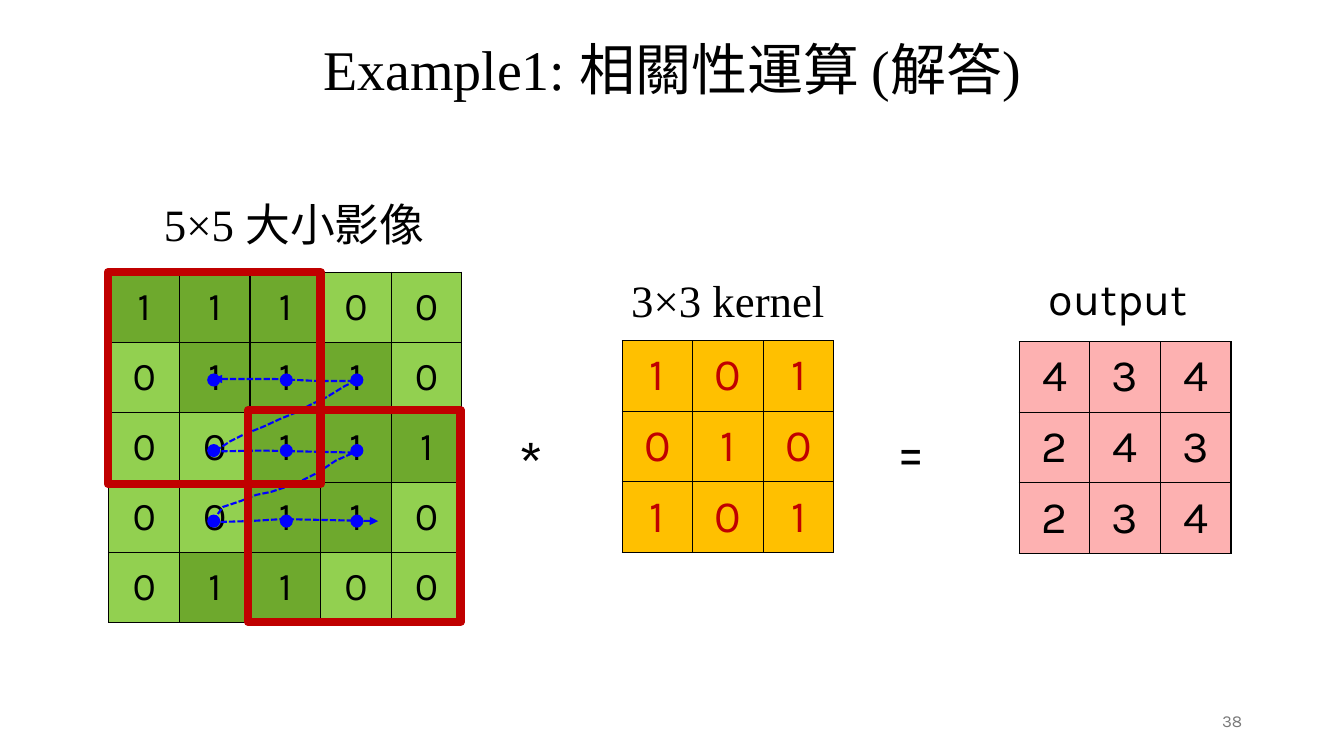
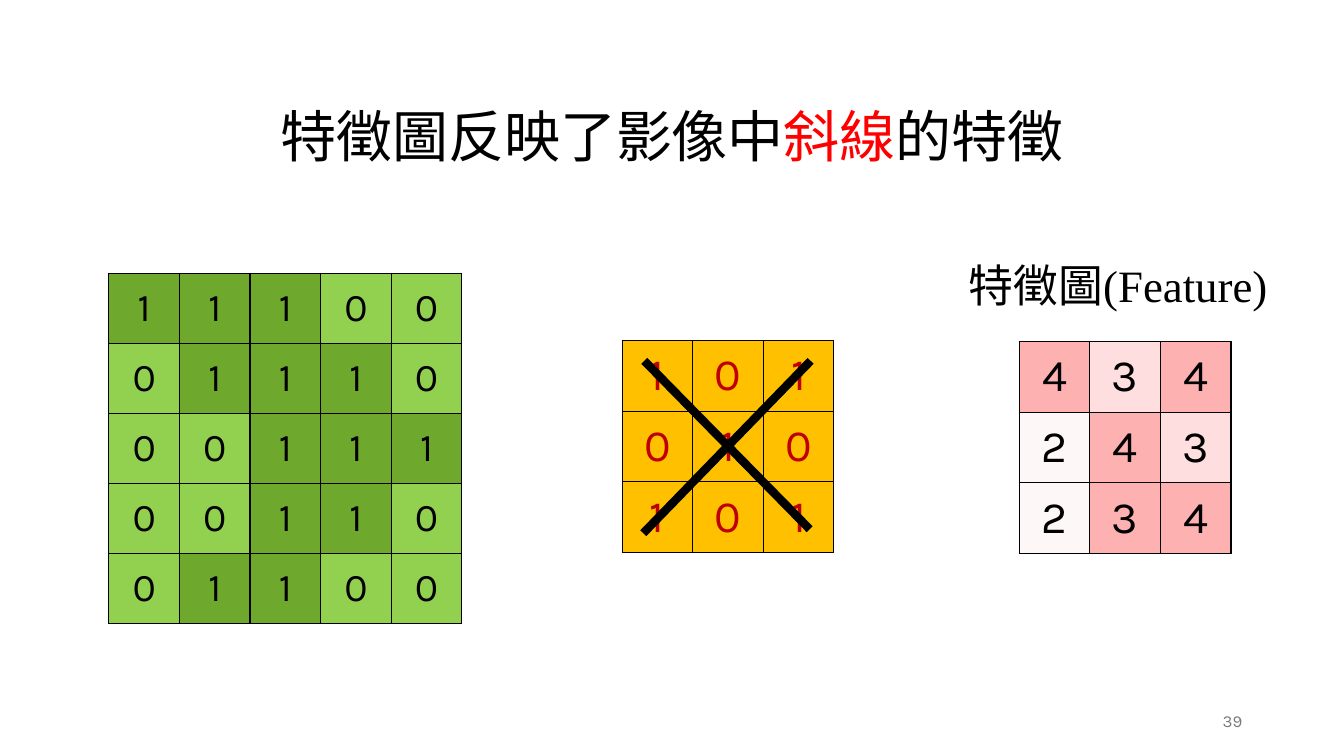
import pptx
import pptx.dml.color
import pptx.enum.dml
import pptx.enum.shapes
import pptx.enum.text
import pptx.oxml
import pptx.oxml.ns
import pptx.util
from lxml import etree

Inches = pptx.util.Inches
Pt = pptx.util.Pt
RGB = pptx.dml.color.RGBColor.from_string
ALIGN = pptx.enum.text.PP_ALIGN
ANCHOR = pptx.enum.text.MSO_ANCHOR
SHAPE = pptx.enum.shapes.MSO_SHAPE
qn = pptx.oxml.ns.qn

COLORS = {
    "black": "000000", "gray": "797979", "red": "FF0000", "dark red": "C00000",
    "blue": "0000FF", "orange": "FFC000", "green": "6EA92D", "light green": "92D050",
    "pink": "FDB1B1", "light pink": "FEDEDE", "pale pink": "FEF0F0",
}
SERIF, SANS = "Times New Roman", "Karla"
CELL = 0.7

IMAGE = ["11100", "01110", "00111", "00110", "01100"]
KERNEL = ["101", "010", "101"]
OUTPUT = ["434", "243", "234"]
IMAGE_FILLS = [["green" if value == "1" else "light green" for value in row] for row in IMAGE]
KERNEL_FILLS = [["orange"] * 3] * 3
OUTPUT_FILLS = [["pink"] * 3] * 3
FEATURE_FILLS = [
    ["pink", "light pink", "pink"],
    ["pale pink", "pink", "light pink"],
    ["pale pink", "pink", "pink"],
]

# Text: (left, top, width, height), wording, size, font, alignment, wraps
SLIDES = [
    {
        "number": "38", "title_top": 0.29, "image_top": 2.7,
        "title": [("Example1: 相關性運算 (解答)", "black")],
        "output_fills": OUTPUT_FILLS,
        "labels": [
            ((1.19, 1.9, 3.46, 0.64), "5×5 大小影像", 32, SERIF, ALIGN.CENTER, True),
            ((5.49, 2.66, 3.46, 0.64), "3×3 kernel", 32, SERIF, ALIGN.CENTER, True),
            ((9.36, 2.64, 3.46, 0.64), "output", 32, SANS, ALIGN.CENTER, True),
            ((5.04, 4.16, 0.48, 0.84), "*", 44, SANS, ALIGN.LEFT, False),
            ((8.79, 4.07, 0.5, 0.77), "=", 40, SANS, ALIGN.LEFT, False),
        ],
    },
    {
        "number": "39", "title_top": 0.96, "image_top": 2.71,
        "title": [("特徵圖反映了影像中", "black"), ("斜線", "red"), ("的特徵", "black")],
        "output_fills": FEATURE_FILLS,
        "labels": [
            ((9.36, 2.51, 3.46, 0.64), "特徵圖(Feature)", 32, SERIF, ALIGN.CENTER, True),
        ],
    },
]


def write_line(text_frame, runs, size, font, alignment):
    """Fill the first paragraph with (text, colour name) runs."""
    paragraph = text_frame.paragraphs[0]
    paragraph.alignment = alignment
    for text, color in runs:
        run = paragraph.add_run()
        run.text = text
        run.font.size = Pt(size)
        run.font.name = font
        run.font.color.rgb = RGB(COLORS[color])


def add_grid(slide, left, top, height, values, fills, size, text_color):
    """Add a bordered square-cell table of single digits."""
    count = len(values)
    table = slide.shapes.add_table(
        count, count, Inches(left), Inches(top), Inches(CELL * count), Inches(height)).table
    table.first_row = False
    table.horz_banding = False
    for row in range(count):
        for column in range(count):
            cell = table.cell(row, column)
            cell.vertical_anchor = ANCHOR.MIDDLE
            write_line(cell.text_frame, [(values[row][column], text_color)], size, SANS, ALIGN.CENTER)
            fill = fills[row][column]
            cell.fill.solid()
            cell.fill.fore_color.rgb = RGB(COLORS[fill])
            properties = cell._tc.get_or_add_tcPr()
            if fill == "pale pink":
                color = properties.find(".//" + qn("a:srgbClr"))
                etree.SubElement(color, qn("a:alpha"), val="50000")
            for index, side in enumerate(("lnL", "lnR", "lnT", "lnB")):
                border = etree.Element(qn("a:" + side), w=str(Pt(1)))
                border_fill = etree.SubElement(border, qn("a:solidFill"))
                etree.SubElement(border_fill, qn("a:srgbClr"), val=COLORS["black"])
                properties.insert(index, border)


presentation = pptx.Presentation()
presentation.slide_width = Inches(13.33)
presentation.slide_height = Inches(7.5)
title_only = presentation.slide_layouts[5]

for content in SLIDES:
    slide = presentation.slides.add_slide(title_only)
    title = slide.shapes.title
    title.left, title.top = Inches(0), Inches(content["title_top"])
    title.width, title.height = Inches(13.33), Inches(0.77)
    title.text_frame.auto_size = pptx.enum.text.MSO_AUTO_SIZE.NONE
    title.text_frame.vertical_anchor = ANCHOR.TOP
    write_line(title.text_frame, content["title"], 40, SERIF, ALIGN.CENTER)

    number = slide.shapes.add_textbox(Inches(9.42), Inches(6.95), Inches(3), Inches(0.4))
    number.text_frame.vertical_anchor = ANCHOR.MIDDLE
    number.text_frame.word_wrap = True
    write_line(number.text_frame, [(content["number"], "gray")], 12, SANS, ALIGN.RIGHT)

    add_grid(slide, 1.08, content["image_top"], 3.48, IMAGE, IMAGE_FILLS, 28, "black")
    add_grid(slide, 6.17, 3.38, 2.1, KERNEL, KERNEL_FILLS, 32, "dark red")
    add_grid(slide, 10.11, 3.39, 2.1, OUTPUT, content["output_fills"], 32, "black")

    for place, text, size, font, alignment, wraps in content["labels"]:
        label = slide.shapes.add_textbox(*[Inches(length) for length in place])
        label.text_frame.word_wrap = wraps
        write_line(label.text_frame, [(text, "black")], size, font, alignment)

correlation_slide, feature_slide = presentation.slides

# Kernel centres visited on the image
for center_y in (3.77, 4.47, 5.17):
    for center_x in (2.12, 2.84, 3.54):
        dot = correlation_slide.shapes.add_shape(
            SHAPE.OVAL, Inches(center_x - 0.065), Inches(center_y - 0.065), Inches(0.13), Inches(0.13))
        dot.shadow.inherit = False
        dot.fill.solid()
        dot.fill.fore_color.rgb = RGB(COLORS["blue"])
        dot.line.fill.background()

# Scanning route through the centres
route_points = [
    (2.12, 3.76), (2.72, 3.76), (3.15, 3.78), (3.54, 3.78), (3.57, 3.76), (3.42, 3.83),
    (3.24, 3.94), (3.09, 4.01), (2.94, 4.09), (2.77, 4.16), (2.62, 4.23), (2.42, 4.31),
    (2.28, 4.38), (2.19, 4.44), (2.07, 4.48), (2.6, 4.47), (3.51, 4.49), (3.33, 4.57),
    (3.15, 4.69), (2.99, 4.77), (2.81, 4.84), (2.69, 4.88), (2.54, 4.91), (2.39, 4.97),
    (2.21, 5.03), (2.16, 5.1), (2.1, 5.18), (2.47, 5.17), (2.8, 5.15), (3.75, 5.17),
]
route_points = [(Inches(x), Inches(y)) for x, y in route_points]
builder = correlation_slide.shapes.build_freeform(*route_points[0])
builder.add_line_segments(route_points[1:], close=False)
route = builder.convert_to_shape()
route.shadow.inherit = False
route.fill.background()
route.line.color.rgb = RGB(COLORS["blue"])
route.line.width = Pt(1.5)
route.line.dash_style = pptx.enum.dml.MSO_LINE.SQUARE_DOT
route_line = route.line._get_or_add_ln()
for end in ("headEnd", "tailEnd"):
    etree.SubElement(route_line, qn("a:" + end), type="triangle")

# First and last kernel windows
for left, top in ((1.07, 2.7), (2.46, 4.07)):
    window = correlation_slide.shapes.add_shape(
        SHAPE.RECTANGLE, Inches(left), Inches(top), Inches(2.11), Inches(2.1))
    window.shadow.inherit = False
    window.fill.background()
    window.line.color.rgb = RGB(COLORS["dark red"])
    window.line.width = Pt(6)

# Diagonals picked out by the kernel
for ends in ((6.39, 3.58, 8.03, 5.25), (6.38, 5.29, 8.04, 3.58)):
    diagonal = feature_slide.shapes.add_connector(
        pptx.enum.shapes.MSO_CONNECTOR.STRAIGHT, *[Inches(length) for length in ends])
    diagonal.line.color.rgb = RGB(COLORS["black"])
    diagonal.line.width = Pt(6)
    etree.SubElement(diagonal._element.spPr, qn("a:effectLst"))

presentation.save("out.pptx")
